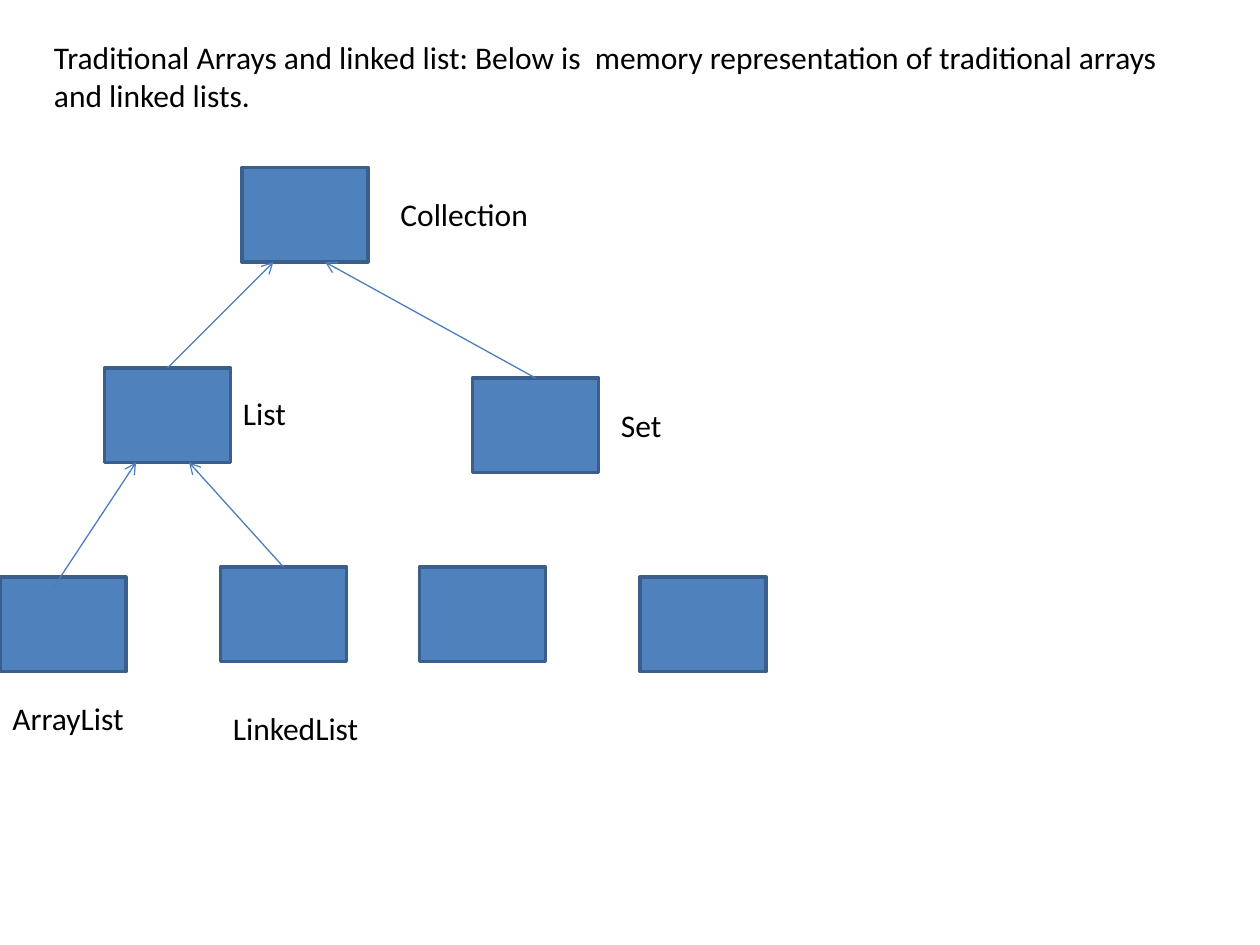
"""Build a slide showing the collection hierarchy as boxes joined by arrows."""
from dataclasses import dataclass

import lxml.etree
import pptx
import pptx.dml.color
import pptx.enum.shapes
import pptx.enum.text
import pptx.oxml.ns
import pptx.util
from pptx.util import Inches


@dataclass(frozen=True)
class Theme:
    fill: str = "4F81BD"
    border: str = "3A5F8C"
    arrow: str = "4B7EBC"
    text: str = "000000"
    font: str = "Calibri"
    text_size: float = 18
    border_width: float = 2
    arrow_width: float = 0.75


@dataclass(frozen=True)
class Node:
    left: float
    top: float


@dataclass(frozen=True)
class Label:
    text: str
    left: float
    top: float
    width: float
    height: float = 0.4


@dataclass(frozen=True)
class Arrow:
    start: tuple[float, float]
    end: tuple[float, float]


THEME = Theme()
NODE_WIDTH, NODE_HEIGHT = 1, 0.75

NODES = [
    Node(1.92, 1.33),
    Node(0.83, 2.92),
    Node(3.75, 3),
    Node(0, 4.58),
    Node(1.75, 4.5),
    Node(3.33, 4.5),
    Node(5.08, 4.58),
]
LABELS = [
    Label("Traditional Arrays and linked list: Below is  memory representation "
          "of traditional arrays and linked lists.", 0.33, 0.25, 9, 0.71),
    Label("Collection", 3.08, 1.5, 1.5),
    Label("List", 1.83, 3.08, 0.58),
    Label("Set", 4.83, 3.17, 1.5),
    Label("ArrayList", 0, 5.5, 1.17),
    Label("LinkedList", 1.75, 5.58, 1.5),
]
ARROWS = [
    Arrow((1.33, 2.92), (2.17, 2.08)),
    Arrow((4.25, 3), (2.58, 2.08)),
    Arrow((0.42, 4.67), (1.08, 3.67)),
    Arrow((2.25, 4.5), (1.5, 3.67)),
]


def color(value: str) -> pptx.dml.color.RGBColor:
    return pptx.dml.color.RGBColor.from_string(value)


def draw_node(slide, node: Node) -> None:
    box = slide.shapes.add_shape(
        pptx.enum.shapes.MSO_SHAPE.RECTANGLE,
        Inches(node.left), Inches(node.top), Inches(NODE_WIDTH), Inches(NODE_HEIGHT))
    box.shadow.inherit = False
    box.fill.solid()
    box.fill.fore_color.rgb = color(THEME.fill)
    box.line.color.rgb = color(THEME.border)
    box.line.width = pptx.util.Pt(THEME.border_width)


def draw_label(slide, label: Label) -> None:
    box = slide.shapes.add_textbox(
        Inches(label.left), Inches(label.top), Inches(label.width), Inches(label.height))
    frame = box.text_frame
    frame.word_wrap = True
    frame.auto_size = pptx.enum.text.MSO_AUTO_SIZE.SHAPE_TO_FIT_TEXT
    run = frame.paragraphs[0].add_run()
    run.text = label.text
    run.font.name = THEME.font
    run.font.size = pptx.util.Pt(THEME.text_size)
    run.font.color.rgb = color(THEME.text)


def draw_arrow(slide, arrow: Arrow) -> None:
    connector = slide.shapes.add_connector(
        pptx.enum.shapes.MSO_CONNECTOR.STRAIGHT,
        *(Inches(value) for value in arrow.start + arrow.end))
    connector.line.color.rgb = color(THEME.arrow)
    connector.line.width = pptx.util.Pt(THEME.arrow_width)
    properties = connector.line._get_or_add_ln()
    lxml.etree.SubElement(properties, pptx.oxml.ns.qn("a:tailEnd"), type="arrow")
    lxml.etree.SubElement(connector._element.spPr, pptx.oxml.ns.qn("a:effectLst"))


def main() -> None:
    presentation = pptx.Presentation()
    presentation.slide_width = Inches(10)
    presentation.slide_height = Inches(7.5)
    slide = presentation.slides.add_slide(presentation.slide_layouts[6])
    for node in NODES:
        draw_node(slide, node)
    for label in LABELS:
        draw_label(slide, label)
    for arrow in ARROWS:
        draw_arrow(slide, arrow)
    presentation.save("out.pptx")


main()
